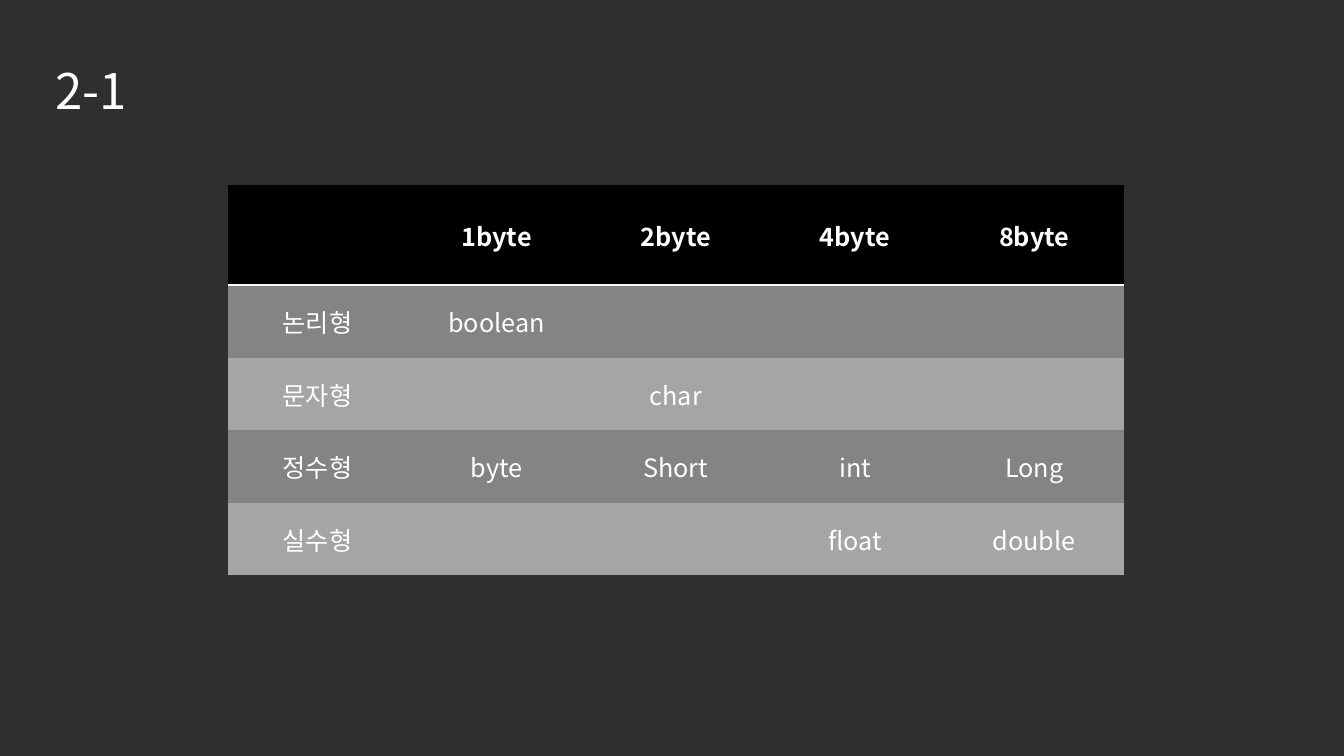
from lxml import etree
from pptx import Presentation
from pptx import util as u
from pptx.dml import color
from pptx.enum import text
from pptx.oxml import ns

COLORS = {
    "background": "2F2F2F",
    "text": "FFFFFF",
    "header": "000000",
    "odd": "848484",
    "even": "A5A5A5",
}
TYPES = [
    ["", "1byte", "2byte", "4byte", "8byte"],
    ["논리형", "boolean", "", "", ""],
    ["문자형", "", "char", "", ""],
    ["정수형", "byte", "Short", "int", "Long"],
    ["실수형", "", "", "float", "double"],
]
PLAIN_TABLE = "{2D5ABB26-0587-4C30-8999-92F81FD0307C}"


def rgb(name):
    return color.RGBColor.from_string(COLORS[name])


class Deck:
    font = "Noto Sans CJK KR"

    def __init__(self):
        self.prs = Presentation()
        self.prs.slide_width = u.Inches(13.33)
        self.prs.slide_height = u.Inches(7.5)
        self.s = self.prs.slides.add_slide(self.prs.slide_layouts[5])
        fill = self.s.background.fill
        fill.solid()
        fill.fore_color.rgb = rgb("background")

    def x(self, share):
        return round(self.prs.slide_width * share)

    def y(self, share):
        return round(self.prs.slide_height * share)

    def style(self, tf, size, align, bold=False):
        tf.vertical_anchor = text.MSO_ANCHOR.MIDDLE
        for p in tf.paragraphs:
            p.alignment = align
            for r in p.runs:
                r.font.name = self.font
                r.font.size = u.Pt(size)
                r.font.bold = bold
                r.font.color.rgb = rgb("text")
                ea = etree.SubElement(r.font._element, ns.qn("a:ea"))
                ea.set("typeface", self.font)

    def title(self, words, left, top, width, height):
        sp = self.s.shapes.title
        sp.left, sp.top = self.x(left), self.y(top)
        sp.width, sp.height = self.x(width), self.y(height)
        sp.text_frame.text = words
        self.style(sp.text_frame, 35, text.PP_ALIGN.LEFT)

    def underline(self, cell):
        line = etree.Element(ns.qn("a:lnB"), w=str(u.Pt(2)))
        fill = etree.SubElement(line, ns.qn("a:solidFill"))
        etree.SubElement(fill, ns.qn("a:srgbClr"), val=COLORS["text"])
        cell._tc.get_or_add_tcPr().insert(0, line)

    def table(self, rows, left, top, width, header_height, row_height):
        heights = [header_height] + [row_height] * (len(rows) - 1)
        frame = self.s.shapes.add_table(
            len(rows), len(rows[0]), self.x(left), self.y(top),
            self.x(width), self.y(sum(heights)))
        table = frame.table
        frame._element.find(".//" + ns.qn("a:tableStyleId")).text = PLAIN_TABLE
        for i, (values, height) in enumerate(zip(rows, heights)):
            table.rows[i].height = self.y(height)
            shade = "header" if i == 0 else "odd" if i % 2 else "even"
            for j, value in enumerate(values):
                cell = table.cell(i, j)
                cell.fill.solid()
                cell.fill.fore_color.rgb = rgb(shade)
                cell.vertical_anchor = text.MSO_ANCHOR.MIDDLE
                if value:
                    cell.text_frame.text = value
                    self.style(cell.text_frame, 18, text.PP_ALIGN.CENTER, i == 0)
                if i == 0:
                    self.underline(cell)


def main():
    deck = Deck()
    deck.title("2-1", 0.45 / 13.33, 0.55 / 7.5, 7.44 / 13.33, 0.69 / 7.5)
    deck.table(TYPES, 2.26 / 13.33, 1.84 / 7.5, 2 / 3, 0.99 / 7.5, 0.72 / 7.5)
    deck.prs.save("out.pptx")


if __name__ == "__main__":
    main()
